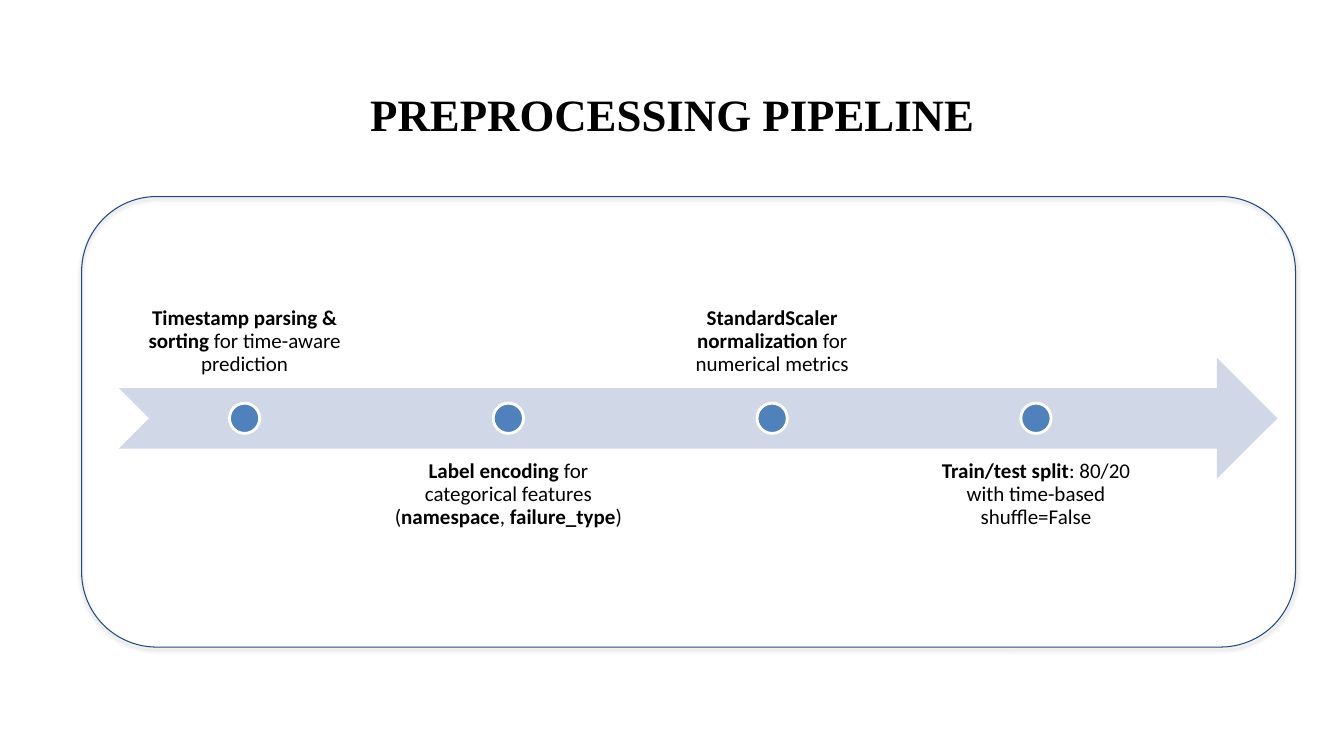
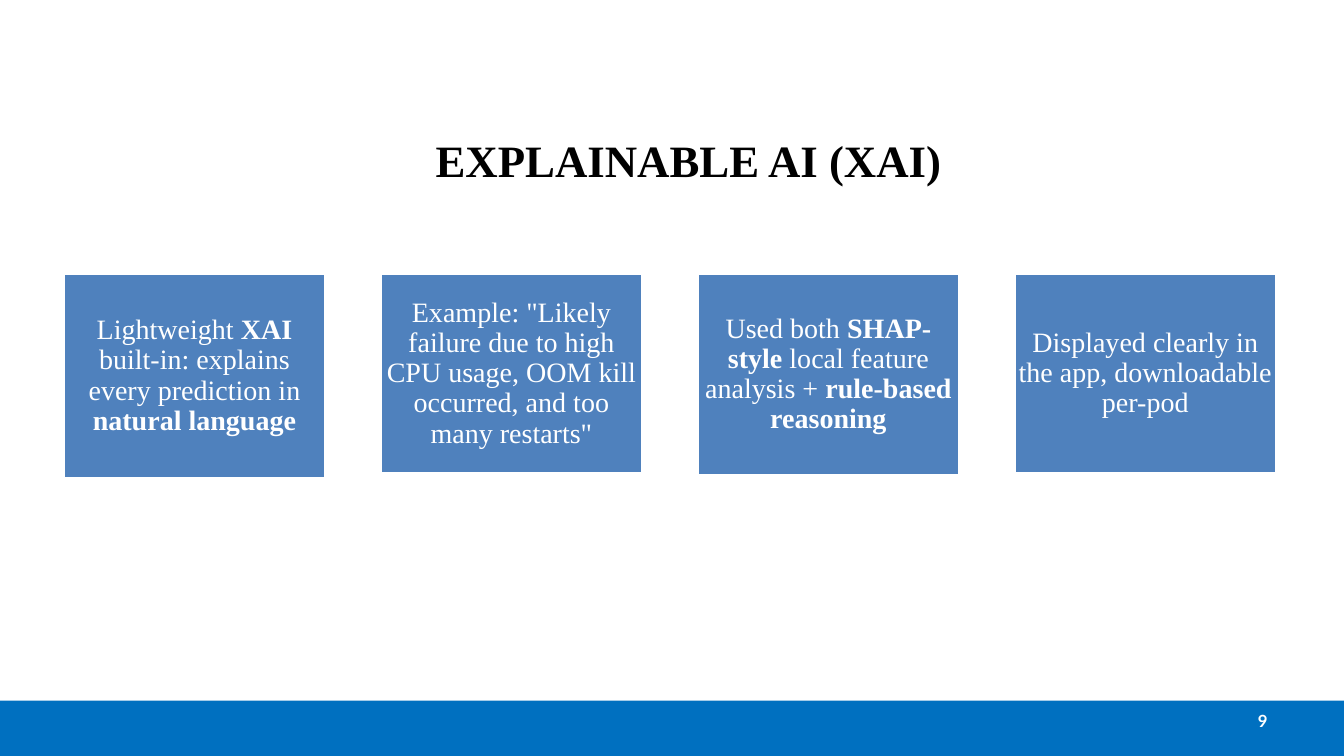
from lxml import etree
from pptx import Presentation
from pptx.dml.color import RGBColor
from pptx.enum import shapes, text
from pptx.oxml import ns
from pptx.util import Inches, Pt

BLACK, WHITE = "000000", "FFFFFF"
NAVY, BLUE, PALE_BLUE, FOOTER_BLUE = "1F497D", "4F81BD", "D0D8E8", "0070C0"
SERIF, SANS, FOOTER_FONT = "Times New Roman", "Calibri", "Lato"
SLIDE_WIDTH, SLIDE_HEIGHT = 13.33, 7.5

# Bold passages stand between double asterisks.
PIPELINE_STEPS = [
    "**Timestamp parsing & sorting** for time-aware prediction",
    "**Label encoding** for categorical features (**namespace**, **failure_type**)",
    "**StandardScaler normalization** for numerical metrics",
    "**Train/test split**: 80/20 with time-based shuffle=False",
]
XAI_CARDS = [
    ("Lightweight **XAI **built-in: explains every prediction in **natural language**", 2.04),
    ('Example: "Likely failure due to high CPU usage, OOM kill occurred, and too many restarts"', 1.99),
    ("Used both **SHAP-style** local feature analysis + **rule-based reasoning**", 2.01),
    ("Displayed clearly in the app, downloadable per-pod", 1.99),
]


def rgb(hex_string):
    return RGBColor.from_string(hex_string)


def add_shape(slide, kind, box, fill=None, line=None, line_width=2):
    shape = slide.shapes.add_shape(kind, *map(Inches, box))
    shape.shadow.inherit = False
    if fill:
        shape.fill.solid()
        shape.fill.fore_color.rgb = rgb(fill)
    else:
        shape.fill.background()
    if line:
        shape.line.color.rgb = rgb(line)
        shape.line.width = Pt(line_width)
    else:
        shape.line.fill.background()
    return shape


def add_shadow(shape, color, blur):
    """Cast a soft shadow straight down; blur is in points."""
    effects = shape._element.spPr.find(ns.qn("a:effectLst"))
    shadow = etree.SubElement(
        effects, ns.qn("a:outerShdw"), blurRad=str(Pt(blur)),
        dist=str(Pt(1.8)), dir="5400000", rotWithShape="0")
    tint = etree.SubElement(shadow, ns.qn("a:srgbClr"), val=color)
    etree.SubElement(tint, ns.qn("a:alpha"), val="35000")


def write(shape, marked_text, font, size, color, anchor=text.MSO_ANCHOR.MIDDLE,
          align=text.PP_ALIGN.CENTER, inset=None, spacing=None):
    """Fill a shape with one paragraph, turning **passages** bold."""
    frame = shape.text_frame
    frame.word_wrap = True
    frame.vertical_anchor = anchor
    if inset is not None:
        frame.margin_left = frame.margin_right = Inches(inset)
        frame.margin_top = frame.margin_bottom = Inches(inset)
    paragraph = frame.paragraphs[0]
    paragraph.alignment = align
    if spacing:
        paragraph.line_spacing = spacing
    for index, passage in enumerate(marked_text.split("**")):
        if passage:
            run = paragraph.add_run()
            run.text = passage
            run.font.name = font
            run.font.size = Pt(size)
            run.font.bold = index % 2 == 1
            run.font.color.rgb = rgb(color)


def add_text(slide, box, marked_text, font, size, color, **style):
    write(slide.shapes.add_textbox(*map(Inches, box)), marked_text, font, size, color, **style)


def add_title(slide, box, title):
    add_text(slide, box, f"**{title}**", SERIF, 32, BLACK)


def add_footer(slide, number):
    height = 0.55
    top = SLIDE_HEIGHT - height
    band = add_shape(slide, shapes.MSO_SHAPE.RECTANGLE, (0, top, SLIDE_WIDTH, height), FOOTER_BLUE)
    add_shadow(band, "808080", 0)
    add_text(slide, (9.56, top, 3.11, 0.4), f"**{number}**", FOOTER_FONT, 12, WHITE,
             align=text.PP_ALIGN.RIGHT)


def add_timeline(slide, box, steps):
    """Draw an arrow with a dot per step and labels alternately above and below."""
    left, top, width, height = box
    add_shape(slide, shapes.MSO_SHAPE.NOTCHED_RIGHT_ARROW, box, PALE_BLUE)
    gap_share = 0.05
    column = 0.9 * width / (len(steps) + gap_share * (len(steps) - 1))
    dot = height / 4
    for index, step in enumerate(steps):
        x = left + index * column * (1 + gap_share)
        above = index % 2 == 0
        label_top = top - 0.75 * height if above else top + 0.75 * height
        add_text(slide, (x, label_top, column, height), step, SANS, 15, BLACK,
                 anchor=text.MSO_ANCHOR.BOTTOM if above else text.MSO_ANCHOR.TOP,
                 inset=0.12, spacing=0.9)
        add_shape(slide, shapes.MSO_SHAPE.OVAL,
                  (x + (column - dot) / 2, top + (height - dot) / 2, dot, dot), BLUE, WHITE)


def add_cards(slide, left, top, width, cards):
    card_width = 2.6
    pitch = (width - card_width) / (len(cards) - 1)
    for index, (label, height) in enumerate(cards):
        card = add_shape(slide, shapes.MSO_SHAPE.RECTANGLE,
                         (left + index * pitch, top, card_width, height), BLUE, WHITE)
        write(card, label, SERIF, 20, WHITE, inset=0.01, spacing=0.9)


def build_pipeline_slide(slide):
    add_title(slide, (0.67, 0.5, 12, 1.25), "PREPROCESSING PIPELINE")
    panel = add_shape(slide, shapes.MSO_SHAPE.ROUNDED_RECTANGLE, (0.81, 1.95, 12.04, 4.47),
                      line=NAVY, line_width=0.75)
    add_shadow(panel, BLACK, 3.1)
    add_timeline(slide, (1.18, 3.55, 11.49, 1.2), PIPELINE_STEPS)


def build_xai_slide(slide):
    add_footer(slide, 9)
    add_title(slide, (0.83, 1.12, 12, 0.92), "EXPLAINABLE AI (XAI)")
    add_cards(slide, 0.63, 2.71, 12.03, XAI_CARDS)


def main():
    presentation = Presentation()
    presentation.slide_width = Inches(SLIDE_WIDTH)
    presentation.slide_height = Inches(SLIDE_HEIGHT)
    blank = presentation.slide_layouts[6]
    for build in (build_pipeline_slide, build_xai_slide):
        build(presentation.slides.add_slide(blank))
    presentation.save("out.pptx")


if __name__ == "__main__":
    main()
